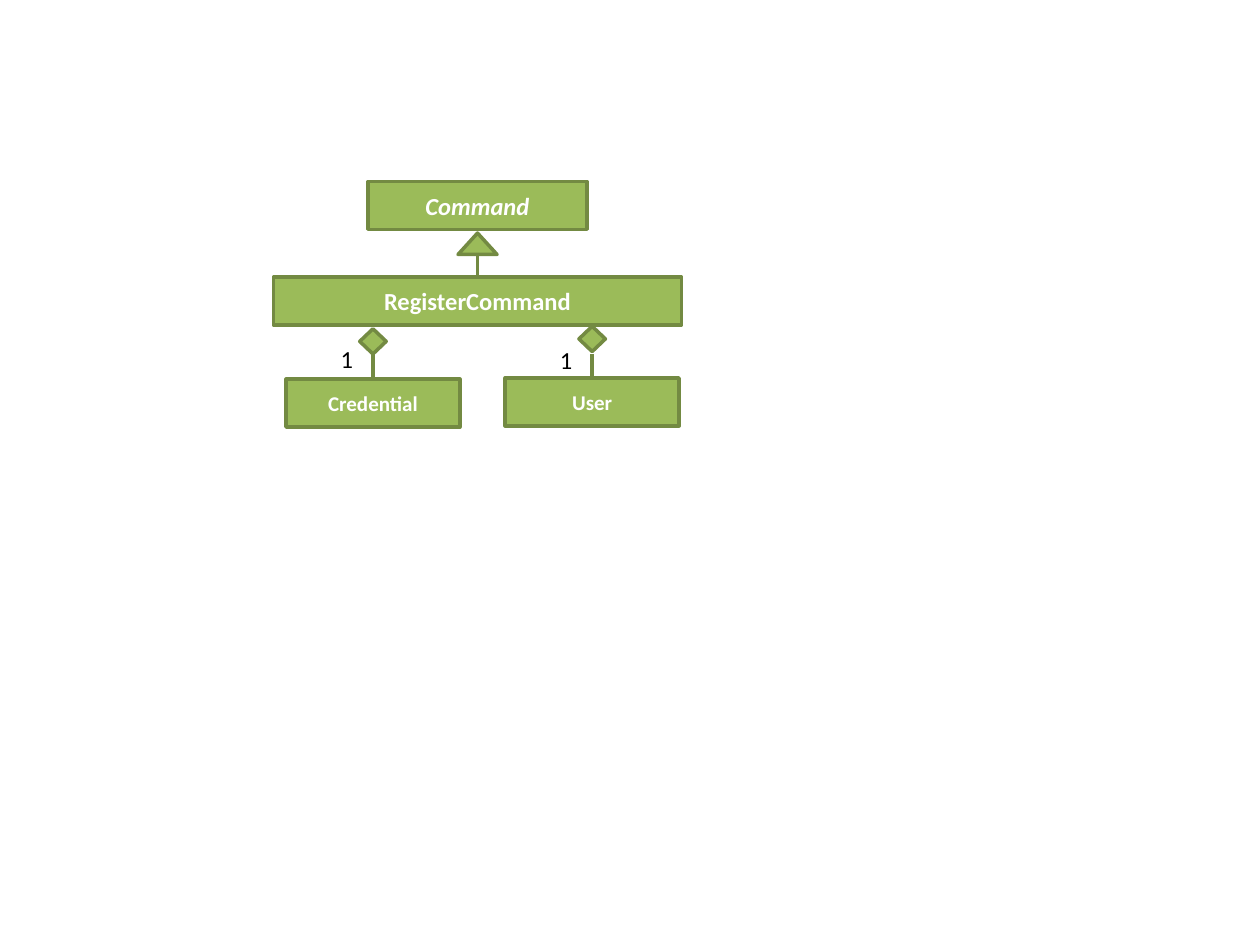
from pptx import Presentation
from pptx.dml.color import RGBColor
from pptx.enum.shapes import MSO_CONNECTOR, MSO_SHAPE as Preset
from pptx.enum.text import MSO_ANCHOR as Anchor, MSO_AUTO_SIZE as AutoSize, PP_ALIGN as Align
from pptx.oxml.ns import qn
from pptx.util import Inches, Pt
from lxml.etree import SubElement


def color(hex_string):
    return RGBColor.from_string(hex_string)


class ClassDiagram:
    """Style and slide; lengths are columns and rows of a 100 x 75 grid."""
    FONT, FILL, LINE = "Calibri", "9BBB59", "738A42"
    LIGHT, DARK = "FFFFFF", "000000"
    LINE_WIDTH = 2
    BOX_HEIGHT = 3.8

    def __init__(self, presentation):
        self.cell = presentation.slide_width / 100
        self.slide = presentation.slides.add_slide(presentation.slide_layouts[6])

    def grid(self, *lengths):
        return [round(length * self.cell) for length in lengths]

    def outline(self, line):
        line.color.rgb = color(self.LINE)
        line.width = Pt(self.LINE_WIDTH)

    def set_text(self, shape, text, size, font_color, bold=False, italic=False):
        shape.text_frame.text = text
        paragraph = shape.text_frame.paragraphs[0]
        font = paragraph.runs[0].font
        font.name, font.size, font.color.rgb = self.FONT, Pt(size), color(font_color)
        font.bold, font.italic = bold, italic
        return paragraph

    def symbol(self, preset, center, top, width, height):
        shape = self.slide.shapes.add_shape(
            preset, *self.grid(center - width / 2, top, width, height))
        shape.shadow.inherit = False
        shape.fill.solid()
        shape.fill.fore_color.rgb = color(self.FILL)
        self.outline(shape.line)
        return shape

    def class_box(self, name, center, top, width, size=14, abstract=False):
        shape = self.symbol(Preset.RECTANGLE, center, top, width, self.BOX_HEIGHT)
        paragraph = self.set_text(shape, name, size, self.LIGHT, True, abstract)
        paragraph.alignment = Align.CENTER
        shape.text_frame.vertical_anchor = Anchor.MIDDLE

    def vertical_line(self, column, start, end):
        connector = self.slide.shapes.add_connector(
            MSO_CONNECTOR.STRAIGHT, *self.grid(column, start, column, end))
        self.outline(connector.line)
        SubElement(connector._element.spPr, qn("a:effectLst"))

    def label(self, text, left, top):
        box = self.slide.shapes.add_textbox(*self.grid(left, top, 3, 3.4))
        box.text_frame.word_wrap = False
        box.text_frame.auto_size = AutoSize.SHAPE_TO_FIT_TEXT
        self.set_text(box, text, 14, self.DARK)


presentation = Presentation()
presentation.slide_width, presentation.slide_height = Inches(10), Inches(7.5)
diagram = ClassDiagram(presentation)

# Inheritance: RegisterCommand extends the abstract Command
AXIS = 37.9
diagram.class_box("RegisterCommand", AXIS, 22, 32.4)
diagram.vertical_line(AXIS, 22, 18.5)
diagram.symbol(Preset.ISOSCELES_TRIANGLE, AXIS, 18.5, 3.1, 1.7)
diagram.class_box("Command", AXIS, 14.4, 17.4, abstract=True)

# Composition: each part has a box, a diamond, a line and a multiplicity
for name, center, box_top, diamond_top, label_top in (
        ("Credential", 29.6, 30.1, 26.1, 26.8),
        ("User", 47, 30, 25.9, 26.9)):
    diagram.class_box(name, center, box_top, 13.8, size=12)
    diagram.symbol(Preset.DIAMOND, center, diamond_top, 2.1, 2)
    diagram.vertical_line(center, 28.1, box_top)
    diagram.label("1", center - 3.55, label_top)

presentation.save("out.pptx")
